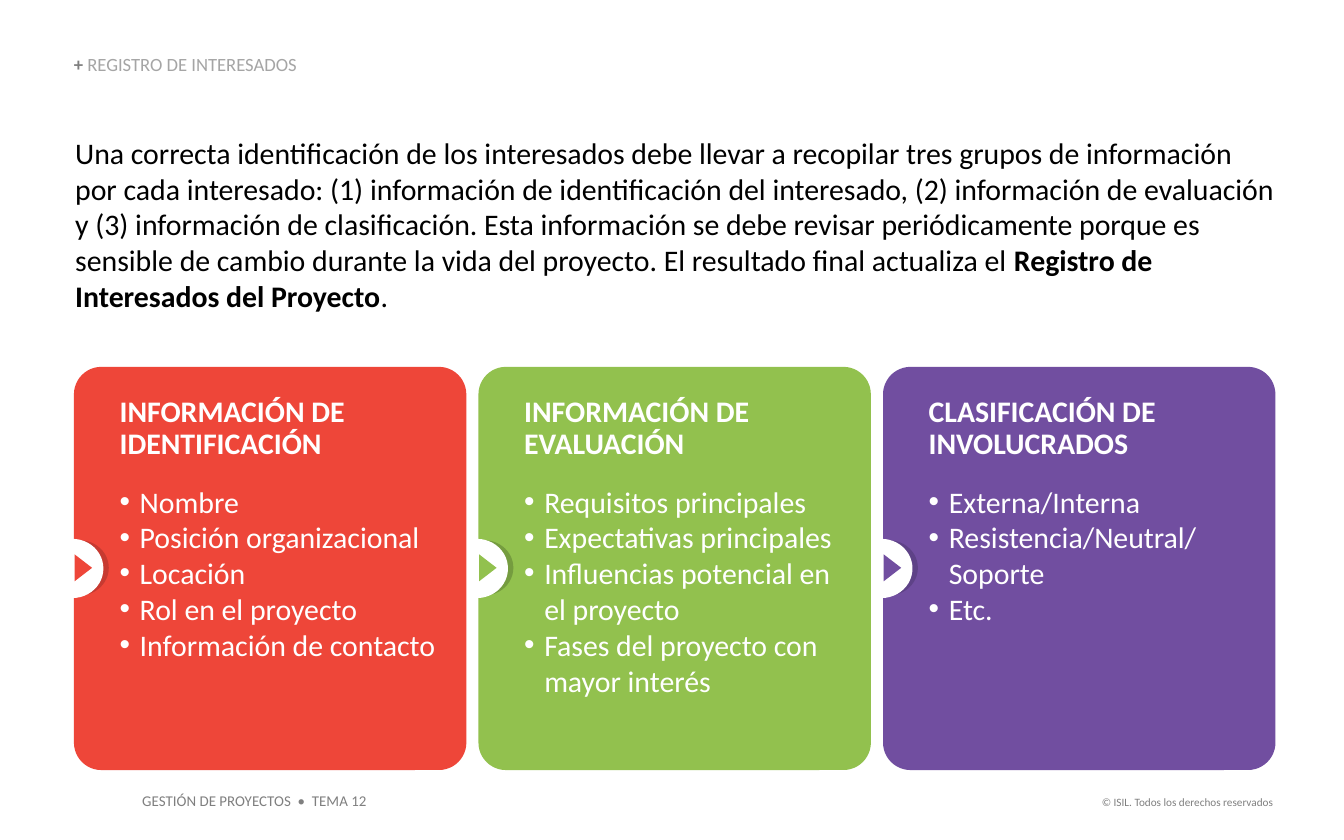
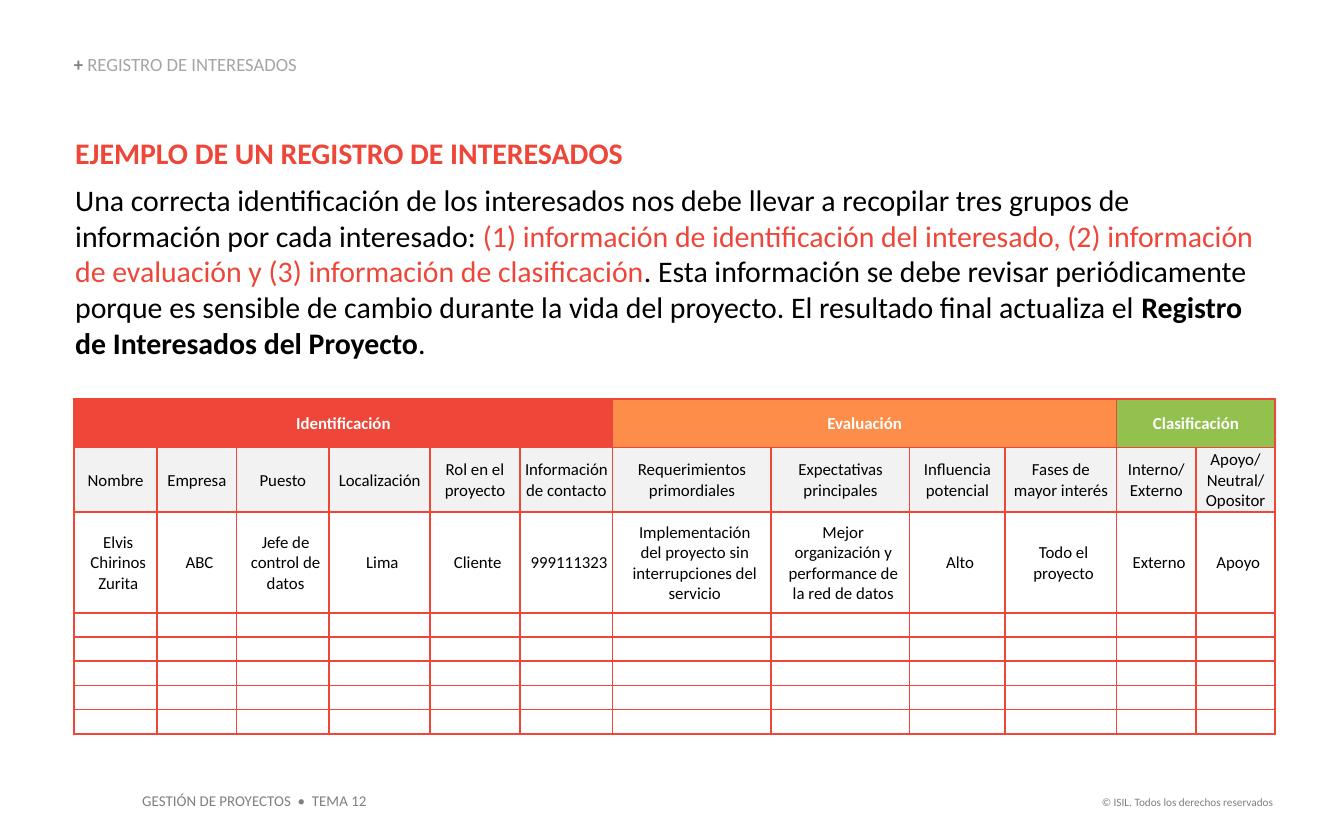
from lxml.etree import SubElement
from pptx import Presentation
from pptx.dml.color import RGBColor
from pptx.enum.shapes import MSO_SHAPE as Shape
from pptx.enum.text import MSO_ANCHOR as Anchor, MSO_AUTO_SIZE as AutoSize, PP_ALIGN as Align
from pptx.oxml.ns import qn
from pptx.util import Inches, Pt

COLORS = {
    "red": "EE4639", "dark_red": "C73A31",
    "green": "92C14E", "dark_green": "759C3F",
    "purple": "714EA0", "dark_purple": "5E4287",
    "orange": "FE7828", "accent": "EE4638",
    "white": "FFFFFF", "black": "000000", "pale": "F2F2F2",
    "gray": "7F7F7F", "light_gray": "A5A5A5",
}
FONT = "Calibri"
LEFT = 0.55

CARDS = [
    ("red", "INFORMACIÓN DE IDENTIFICACIÓN",
     ["Nombre", "Posición organizacional", "Locación", "Rol en el proyecto",
      "Información de contacto"]),
    ("green", "INFORMACIÓN DE EVALUACIÓN",
     ["Requisitos principales", "Expectativas principales",
      "Influencias potencial en el proyecto", "Fases del proyecto con mayor interés"]),
    ("purple", "CLASIFICACIÓN DE INVOLUCRADOS",
     ["Externa/Interna", "Resistencia/Neutral/\nSoporte", "Etc."]),
]

COL_WIDTHS = [0.62, 0.59, 0.69, 0.75, 0.67, 0.69, 1.18, 1.03, 0.71, 0.83, 0.59, 0.59]
ROW_HEIGHTS = [0.36, 0.48, 0.75] + [0.18] * 5
GROUPS = [("Identificación", "accent", 6, None),
          ("Evaluación", "orange", 4, 84),
          ("Clasificación", "green", 2, None)]
FIELDS = ["Nombre", "Empresa", "Puesto", "Localización", "Rol en el proyecto",
          "Información de contacto", "Requerimientos primordiales",
          "Expectativas\nprincipales", "Influencia potencial",
          "Fases de\nmayor interés", "Interno/ Externo", "Apoyo/ Neutral/ Opositor"]
RECORD = ["Elvis Chirinos Zurita", "ABC", "Jefe de control de datos", "Lima", "Cliente",
          "999111323", "Implementación\ndel proyecto sin interrupciones del servicio",
          "Mejor organización y performance de la red de datos", "Alto",
          "Todo el proyecto", "Externo", "Apoyo"]

REVIEW = (" Esta información se debe revisar periódicamente porque es sensible de cambio "
          "durante la vida del proyecto. El resultado final actualiza el ")
REGISTER = "Registro de Interesados del Proyecto"


def rgb(name):
    return RGBColor.from_string(COLORS[name])


def run(text, color="black", size=16, bold=False):
    return text, color, {"size": Pt(size), "bold": bold, "name": FONT}


def set_insets(obj, insets):
    for side, value in zip(("left", "top", "right", "bottom"), insets):
        setattr(obj, f"margin_{side}", Inches(value))


def add_bullet(p, color):
    pPr = p._p.get_or_add_pPr()
    pPr.set("marL", str(Inches(0.15)))
    pPr.set("indent", str(-Inches(0.15)))
    SubElement(SubElement(pPr, qn("a:buClr")), qn("a:srgbClr"), val=COLORS[color])
    SubElement(pPr, qn("a:buFont"), typeface="Arial")
    SubElement(pPr, qn("a:buChar"), char="•")


def write(tf, paragraphs):
    """Fill a text frame with (runs, paragraph format, has bullet) entries."""
    for i, (runs, fmt, bullet) in enumerate(paragraphs):
        p = tf.add_paragraph() if i else tf.paragraphs[0]
        if bullet:
            add_bullet(p, "white")
        for key, value in fmt.items():
            setattr(p, key, value)
        for text, color, font in runs:
            for n, line in enumerate(text.split("\n")):
                if n:
                    p.add_line_break()
                r = p.add_run()
                r.text = line
                r.font.color.rgb = rgb(color)
                for key, value in font.items():
                    setattr(r.font, key, value)


class Deck:
    def __init__(self):
        self.prs = Presentation()
        self.prs.slide_width, self.prs.slide_height = Inches(10), Inches(6.25)
        self.s = None

    def slide(self, title):
        self.s = self.prs.slides.add_slide(self.prs.slide_layouts[5])
        self.text((7.91, 5.87, 1.66, 0.2),
                  [([run("© ISIL. Todos los derechos reservados", "gray", 6)],
                    {"alignment": Align.RIGHT}, False)], (0.1, 0.05, 0.1, 0.05))
        self.text((0.96, 5.84, 1.87, 0.24),
                  [([run("GESTIÓN DE PROYECTOS  •  TEMA 12", "gray", 8)], {}, False)],
                  (0.1, 0.05, 0.1, 0.05))
        sp = self.s.shapes.title
        box = dict(zip(("left", "top", "width", "height"), (LEFT, 0.41, 6.13, 0.15)))
        for key, value in box.items():
            setattr(sp, key, Inches(value))
        tf = sp.text_frame
        tf.auto_size, tf.vertical_anchor = AutoSize.NONE, Anchor.BOTTOM
        set_insets(tf, (0, 0, 0, 0))
        write(tf, [([run("+ ", "gray", 10, True), run(title, "light_gray", 10)],
                    {"alignment": Align.LEFT, "line_spacing": 0.9}, False)])

    def text(self, box, paragraphs, insets=(0, 0, 0, 0)):
        tf = self.s.shapes.add_textbox(*map(Inches, box)).text_frame
        tf.word_wrap, tf.auto_size = True, AutoSize.SHAPE_TO_FIT_TEXT
        set_insets(tf, insets)
        write(tf, paragraphs)

    def shape(self, kind, box, color):
        sp = self.s.shapes.add_shape(kind, *map(Inches, box))
        sp.shadow.inherit = False
        sp.fill.solid()
        sp.fill.fore_color.rgb = rgb(color)
        sp.line.fill.background()
        return sp

    def card(self, left, color, heading, items):
        sp = self.shape(Shape.ROUNDED_RECTANGLE, (left, 2.73, 2.92, 3), color)
        sp.adjustments[0] = 0.07
        tf = sp.text_frame
        tf.word_wrap, tf.vertical_anchor = True, Anchor.TOP
        set_insets(tf, (0.28, 0.16, 0.08, 0.05))
        paragraphs = [([run(heading, "white", bold=True)],
                       {"alignment": Align.LEFT, "line_spacing": 0.9}, False)]
        for i, item in enumerate(items):
            fmt = {"alignment": Align.LEFT, "space_before": Pt(0 if i else 12)}
            paragraphs.append(([run(item, "white")], fmt, True))
        write(tf, paragraphs)
        self.shape(Shape.OVAL, (left - 0.17, 4.02, 0.43, 0.41), f"dark_{color}")
        self.shape(Shape.OVAL, (left - 0.24, 4.01, 0.46, 0.44), "white")
        arrow = self.shape(Shape.ISOSCELES_TRIANGLE, (left - 0.03, 4.16, 0.2, 0.13), color)
        arrow.rotation = 90

    def table(self, left, top, widths, heights):
        box = (left, top, sum(widths), sum(heights))
        table = self.s.shapes.add_table(len(heights), len(widths), *map(Inches, box)).table
        table.first_row = table.horz_banding = False
        for col, width in zip(table.columns, widths):
            col.width = Inches(width)
        for row, height in zip(table.rows, heights):
            row.height = Inches(height)
        for cell in table.iter_cells():
            tcPr = cell._tc.get_or_add_tcPr()
            for side in "LRTB":
                ln = SubElement(tcPr, qn(f"a:ln{side}"), w=str(Pt(1)))
                SubElement(SubElement(ln, qn("a:solidFill")), qn("a:srgbClr"),
                           val=COLORS["accent"])
            cell.fill.background()
            cell.vertical_anchor = Anchor.MIDDLE
            set_insets(cell, (0.01, 0.01, 0.01, 0))
        return table

    def cell(self, cell, lines, color="black", bold=False, fill=None, alpha=None):
        write(cell.text_frame, [([run(line, color, 9, bold)],
                                 {"alignment": Align.CENTER}, False) for line in lines])
        if fill:
            cell.fill.solid()
            cell.fill.fore_color.rgb = rgb(fill)
        if alpha:
            clr = cell._tc.tcPr.find(qn("a:solidFill")).find(qn("a:srgbClr"))
            SubElement(clr, qn("a:alpha"), val=str(alpha * 1000))


def information_groups(deck):
    deck.slide("REGISTRO DE INTERESADOS")
    intro = ("Una correcta identificación de los interesados debe llevar a recopilar tres "
             "grupos de información por cada interesado: (1) información de identificación "
             "del interesado, (2) información de evaluación y (3) información de "
             "clasificación.")
    deck.text((0.56, 1, 8.93, 1.35),
              [([run(intro + REVIEW), run(REGISTER, bold=True), run(".")], {}, False)])
    # Right to left, so that each card hides the left half of the next badge.
    for i, card in reversed(list(enumerate(CARDS))):
        deck.card(LEFT + 3.01 * i, *card)


def register_example(deck):
    deck.slide("REGISTRO DE INTERESADOS")
    deck.text((0.56, 1, 8.93, 1.7), [
        ([run("EJEMPLO DE UN REGISTRO DE INTERESADOS", "accent", bold=True)], {}, False),
        ([run("Una correcta identificación de los interesados nos debe llevar a recopilar "
              "tres grupos de información por cada interesado: "),
          run("(1) información de identificación del interesado, (2) información de "
              "evaluación y (3) información de clasificación", "accent"),
          run("." + REVIEW), run(REGISTER, bold=True), run(".")],
         {"space_before": Pt(6)}, False),
    ])
    table = deck.table(LEFT, 2.97, COL_WIDTHS, ROW_HEIGHTS)
    col = 0
    for name, color, span, alpha in GROUPS:
        head = table.cell(0, col)
        head.merge(table.cell(0, col + span - 1))
        deck.cell(head, [name], "white", True, color, alpha)
        col += span
    for c, (field, value) in enumerate(zip(FIELDS, RECORD)):
        lines = field.split("\n") if field.startswith("Expectativas") else [field]
        deck.cell(table.cell(1, c), lines, fill="pale")
        set_insets(table.cell(2, c), (0.08, 0.01, 0.04, 0))
        deck.cell(table.cell(2, c), [value])
        for r in range(3, len(ROW_HEIGHTS)):
            p = table.cell(r, c).text_frame.paragraphs[0]
            SubElement(p._p, qn("a:endParaRPr"), sz="900")


def main():
    deck = Deck()
    information_groups(deck)
    register_example(deck)
    deck.prs.save("out.pptx")


if __name__ == "__main__":
    main()
